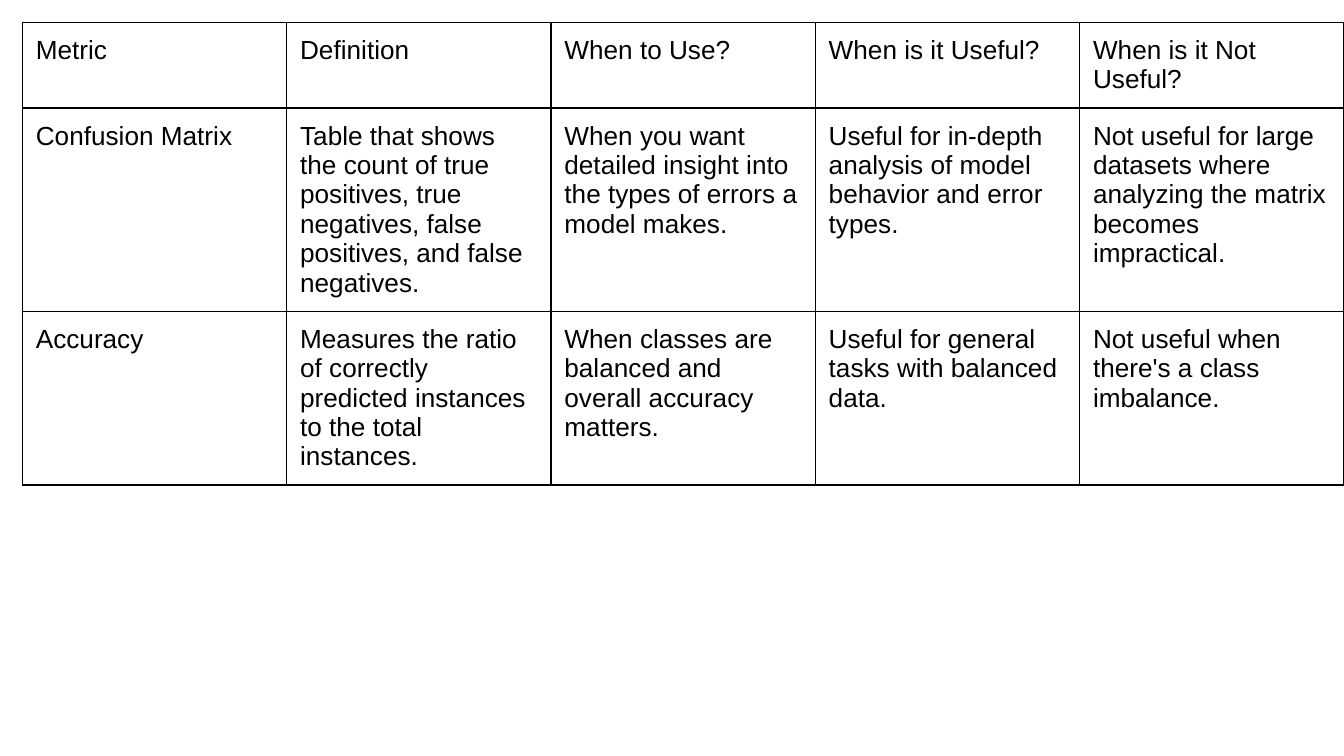
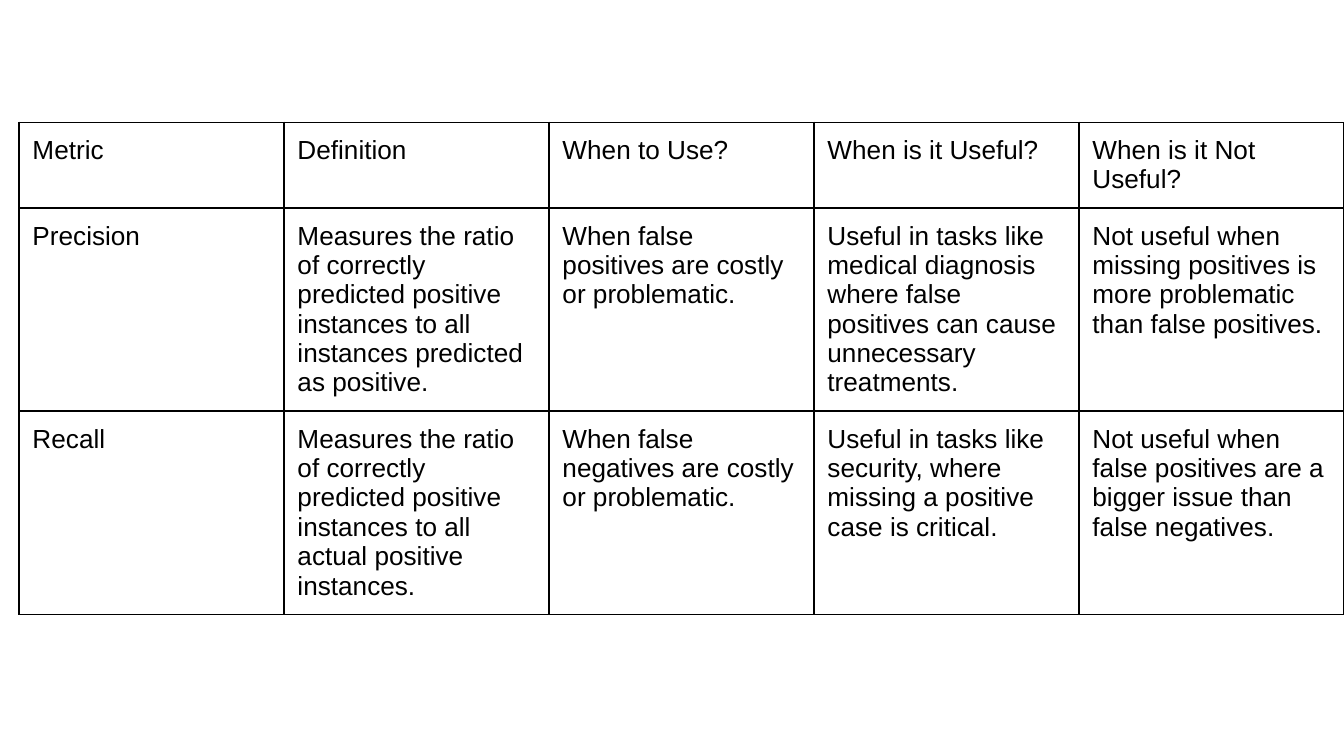
"""Build two slides of tables that compare model metrics."""
from lxml.etree import SubElement
from pptx import Presentation
from pptx.dml.color import RGBColor
from pptx.oxml.ns import qn
from pptx.util import Pt

HEAD = ("Metric", "Definition", "When to Use?", "When is it Useful?",
        "When is it Not Useful?")
PAGES = [
    {"left": 12, "top": 12, "rows": [
        ("Confusion Matrix",
         "Table that shows the count of true positives, true negatives, "
         "false positives, and false negatives.",
         "When you want detailed insight into the types of errors a model makes.",
         "Useful for in-depth analysis of model behavior and error types.",
         "Not useful for large datasets where analyzing the matrix becomes "
         "impractical."),
        ("Accuracy",
         "Measures the ratio of correctly predicted instances to the total "
         "instances.",
         "When classes are balanced and overall accuracy matters.",
         "Useful for general tasks with balanced data.",
         "Not useful when there's a class imbalance."),
    ]},
    {"left": 10.2, "top": 65.5, "rows": [
        ("Precision",
         "Measures the ratio of correctly predicted positive instances to all "
         "instances predicted as positive.",
         "When false positives are costly or problematic.",
         "Useful in tasks like medical diagnosis where false positives can "
         "cause unnecessary treatments.",
         "Not useful when missing positives is more problematic than false "
         "positives."),
        ("Recall",
         "Measures the ratio of correctly predicted positive instances to all "
         "actual positive instances.",
         "When false negatives are costly or problematic.",
         "Useful in tasks like security, where missing a positive case is "
         "critical.",
         "Not useful when false positives are a bigger issue than false "
         "negatives."),
    ]},
]
WIDE, HIGH = 720, 405
TALL = (15, 45, 45)
HEX = {"ink": "000000", "page": "FFFFFF"}
FONT = {"name": "Arial", "size": Pt(14), "bold": False}
PAD = {"margin_" + side: Pt(7.2) for side in ("left", "right", "top", "bottom")}
RULE = Pt(0.75)


def apply(item, form):
    for key, val in form.items():
        setattr(item, key, val)


def edge(cell):
    props = cell._tc.get_or_add_tcPr()
    for side in "LRTB":
        line = SubElement(props, qn("a:ln" + side), w=str(RULE))
        fill = SubElement(line, qn("a:solidFill"))
        SubElement(fill, qn("a:srgbClr"), val=HEX["ink"])


def write(cell, text):
    cell.text = text
    apply(cell, PAD)
    edge(cell)
    cell.fill.background()
    font = cell.text_frame.paragraphs[0].runs[0].font
    apply(font, FONT)
    font.color.rgb = RGBColor.from_string(HEX["ink"])


def draw(slide, page):
    rows = [HEAD, *page["rows"]]
    span = WIDE - page["left"]
    grid = slide.shapes.add_table(
        len(rows), len(HEAD), Pt(page["left"]), Pt(page["top"]),
        Pt(span), Pt(sum(TALL))).table
    apply(grid, {"first_row": False, "horz_banding": False})
    for col in grid.columns:
        col.width = Pt(span / len(HEAD))
    for row, tall, texts in zip(grid.rows, TALL, rows):
        row.height = Pt(tall)
        for cell, text in zip(row.cells, texts):
            write(cell, text)


def main():
    deck = Presentation()
    apply(deck, {"slide_width": Pt(WIDE), "slide_height": Pt(HIGH)})
    back = deck.slide_master.background.fill
    back.solid()
    back.fore_color.rgb = RGBColor.from_string(HEX["page"])
    for page in PAGES:
        draw(deck.slides.add_slide(deck.slide_layouts[6]), page)
    deck.save("out.pptx")


if __name__ == "__main__":
    main()
